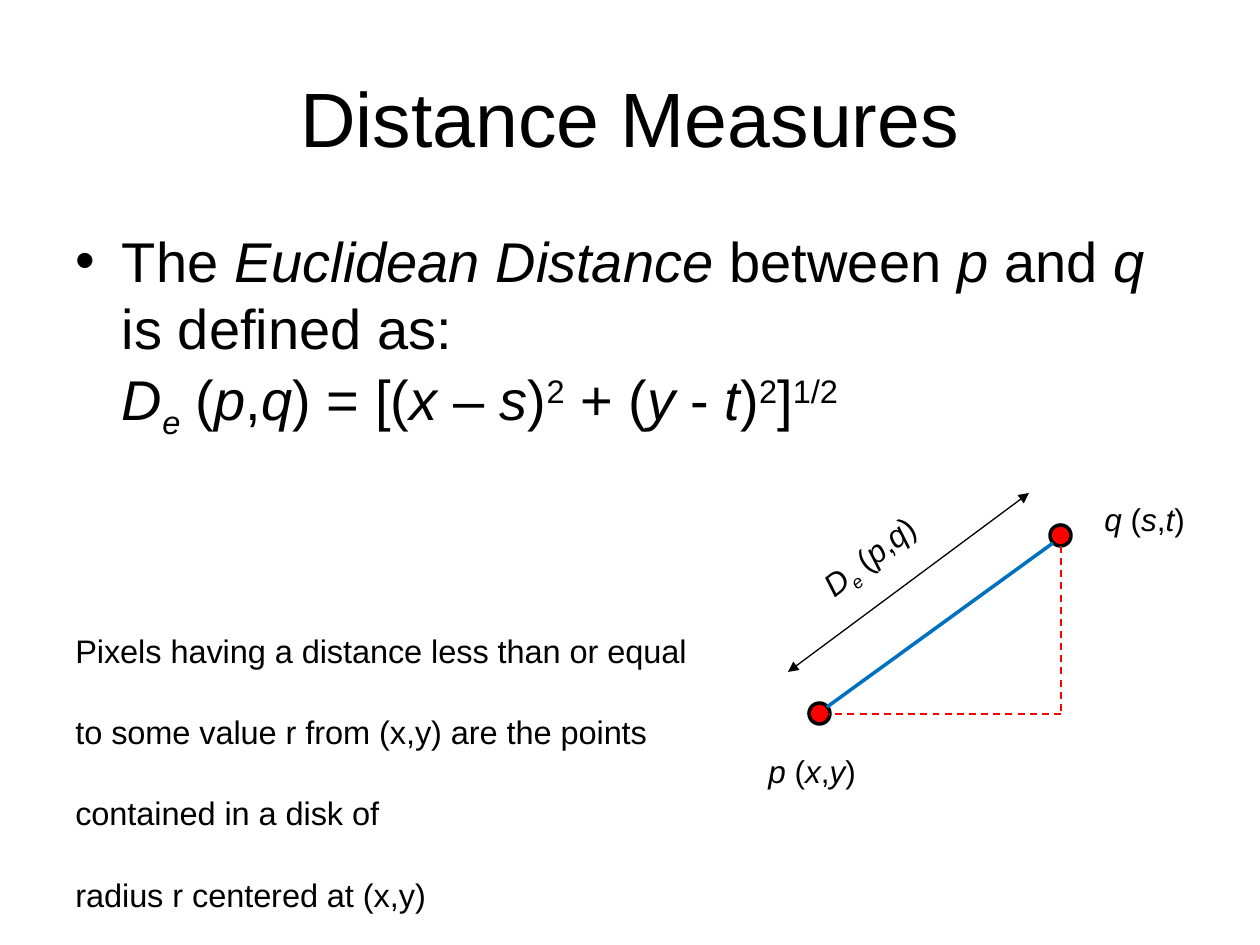
from pptx import Presentation
from pptx.dml.color import RGBColor
from pptx.enum.dml import MSO_LINE
from pptx.enum.shapes import MSO_CONNECTOR, MSO_SHAPE
from pptx.enum.text import MSO_ANCHOR, MSO_AUTO_SIZE, PP_ALIGN
from pptx.oxml.ns import qn
from pptx.util import Emu, Inches, Pt
from lxml.etree import SubElement

SCALE = 914400 / 126
BLACK = RGBColor(0x00, 0x00, 0x00)
RED = RGBColor(0xFF, 0x00, 0x00)
BLUE = RGBColor(0x00, 0x70, 0xC0)
FONT = "Arial"
DOT = 21

# Runs are (text, style): "i" italic, "^" superscript, "_" subscript.
INTRO = [("The ", ""), ("Euclidean Distance", "i"), (" between ", ""),
         ("p", "i"), (" and ", ""), ("q", "i"), (" is defined as:", "")]
DISTANCE = [("D", "i"), ("e", "i_"), (" (", ""), ("p", "i"), (",", ""),
            ("q", "i")]
FORMULA = DISTANCE + [
    (") = [(", ""), ("x", "i"), (" – ", ""), ("s", "i"), (")", ""), ("2", "^"),
    (" + (", ""), ("y", "i"), (" - ", ""), ("t", "i"), (")", ""), ("2", "^"),
    ("]", ""), ("1/2", "^")]
DISK_LINES = ["Pixels having a distance less than or equal",
              "to some value r from (x,y) are the points",
              "contained in a disk of",
              "radius r centered at (x,y)"]


def px(value):
    return Emu(round(value * SCALE))


def add_box(page, left, top, width, height):
    box = page.shapes.add_textbox(px(left), px(top), px(width), px(height))
    box.text_frame.word_wrap = True
    return box


def add_runs(para, runs, size):
    for text, style in runs:
        span = para.add_run()
        span.text = text
        span.font.name = FONT
        span.font.size = Pt(size)
        span.font.color.rgb = BLACK
        span.font.italic = "i" in style
        if "^" in style:
            span.font._element.set("baseline", "30000")
        elif "_" in style:
            span.font._element.set("baseline", "-25000")


def indent(para, bullet=None):
    """Set the hanging indent, with a bullet if one is given."""
    props = para._p.get_or_add_pPr()
    margin = Inches(0.37)
    props.set("marL", str(margin))
    props.set("indent", str(-margin if bullet else 0))
    if bullet:
        SubElement(props, qn("a:buFont"), typeface=FONT)
        SubElement(props, qn("a:buChar"), char=bullet)


def add_title(page, text):
    box = add_box(page, 63, 38, 1134, 158)
    box.text_frame.vertical_anchor = MSO_ANCHOR.MIDDLE
    para = box.text_frame.paragraphs[0]
    para.alignment = PP_ALIGN.CENTER
    add_runs(para, [(text, "")], 44)


def add_body(page):
    frame = add_box(page, 63, 220, 1134, 710).text_frame
    intro = frame.paragraphs[0]
    indent(intro, "•")
    add_runs(intro, INTRO, 32)

    formula = frame.add_paragraph()
    indent(formula)
    formula.space_before = Pt(8)
    add_runs(formula, FORMULA, 32)

    for index, line in enumerate(DISK_LINES):
        para = frame.add_paragraph()
        para.space_before = Pt(8 if index else 105)
        add_runs(para, [(line, "^")], 32)
    for para in frame.paragraphs:
        para.line_spacing = Pt(38.3)


def add_label(page, left, top, height, runs, rotation=0):
    box = add_box(page, left, top, 136, height)
    box.text_frame.auto_size = MSO_AUTO_SIZE.SHAPE_TO_FIT_TEXT
    box.rotation = rotation
    add_runs(box.text_frame.paragraphs[0], runs, 18)


def add_point_label(page, left, top, name, first, second):
    add_label(page, left, top, 50,
              [(name, "i"), (" (", ""), (first, "i"), (",", ""),
               (second, "i"), (")", "")])


def add_dot(page, left, top):
    dot = page.shapes.add_shape(MSO_SHAPE.OVAL, px(left), px(top),
                                px(DOT), px(DOT))
    dot.shadow.inherit = False
    dot.fill.solid()
    dot.fill.fore_color.rgb = RED
    dot.line.color.rgb = BLACK
    dot.line.width = Pt(2)


def add_line(page, start, end, color, width, dashed=False, arrows=False):
    line = page.shapes.add_connector(MSO_CONNECTOR.STRAIGHT,
                                     *map(px, start + end))
    line.line.color.rgb = color
    line.line.width = Pt(width)
    if dashed:
        line.line.dash_style = MSO_LINE.DASH
    if arrows:
        outline = line.line._get_or_add_ln()
        for tag in ("a:headEnd", "a:tailEnd"):
            SubElement(outline, qn(tag), type="triangle")
    SubElement(line._element.spPr, qn("a:effectLst"))


def main():
    deck = Presentation()
    deck.slide_width, deck.slide_height = Inches(10), Inches(7.5)
    page = deck.slides.add_slide(deck.slide_layouts[6])

    add_title(page, "Distance Measures")
    add_body(page)

    add_dot(page, 809, 703)
    add_dot(page, 1050, 525)
    add_line(page, (827, 707), (1053, 543), BLUE, 2)
    add_line(page, (788, 672), (1029, 493), BLACK, 0.75, arrows=True)
    add_label(page, 804, 529, 55, DISTANCE + [(")", "")], rotation=322)
    add_point_label(page, 756, 746, "p", "x", "y")
    add_point_label(page, 1092, 494, "q", "s", "t")

    corner = (1061, 714)
    add_line(page, (1061, 546), corner, RED, 1, dashed=True)
    add_line(page, corner, (829, 714), RED, 1, dashed=True)
    deck.save("out.pptx")


if __name__ == "__main__":
    main()
